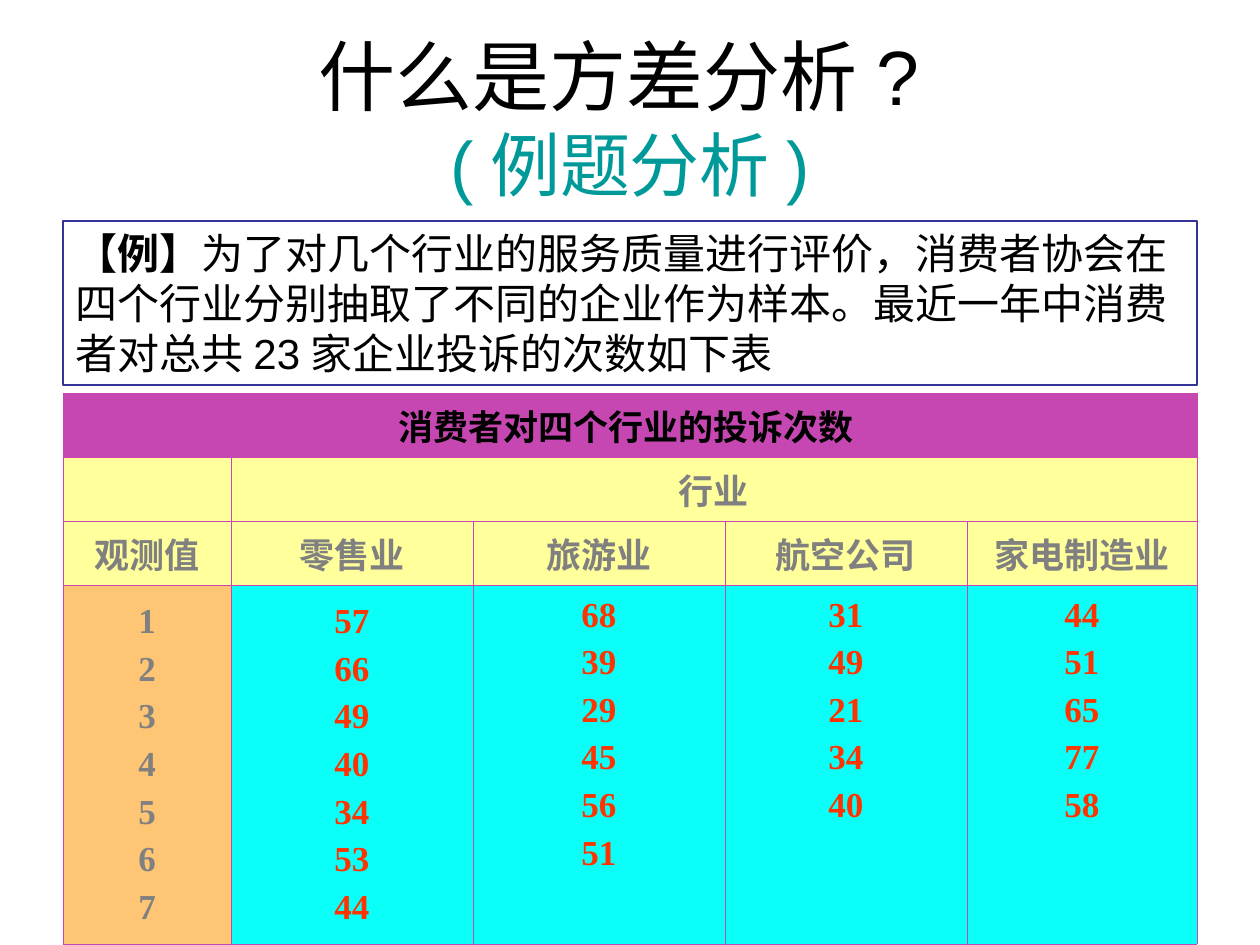
import pptx
import pptx.util
import pptx.dml.color
import pptx.enum.text
import pptx.enum.shapes
import pptx.oxml
import pptx.oxml.ns
from dataclasses import dataclass

PX = 914400 / 126
ALIGN = pptx.enum.text.PP_ALIGN
ANCHOR = pptx.enum.text.MSO_ANCHOR


@dataclass(frozen=True)
class Theme:
    sans: str = "Arial"
    serif: str = "Times New Roman"
    ink: str = "000000"
    teal: str = "009999"
    navy: str = "333399"
    grey: str = "808080"
    red: str = "FF3300"
    pink: str = "C747B2"
    grid: str = "C945B3"
    cream: str = "FFFF9B"
    peach: str = "FEC674"
    cyan: str = "0BFFF9"
    title: int = 44
    sub: int = 40
    body: int = 24
    cell: int = 20
    gap: int = 5


def emu(px):
    return round(px * PX)


def rgb(code):
    return pptx.dml.color.RGBColor.from_string(code)


def write(para, text, font, size, color, bold=False):
    run = para.add_run()
    run.text = text
    run.font.name = font
    run.font.size = pptx.util.Pt(size)
    run.font.color.rgb = rgb(color)
    run.font.bold = bold


class Deck:
    def __init__(self, theme):
        self.theme = theme
        self.file = pptx.Presentation()
        self.file.slide_width = emu(1260)
        self.file.slide_height = emu(945)
        self.slide = self.file.slides.add_slide(self.file.slide_layouts[6])

    def title(self, area, main, sub):
        t = self.theme
        frame = self.slide.shapes.add_textbox(*map(emu, area)).text_frame
        frame.word_wrap = True
        frame.vertical_anchor = ANCHOR.MIDDLE
        para = frame.paragraphs[0]
        para.alignment = ALIGN.CENTER
        write(para, main, t.sans, t.title, t.ink)
        para.add_line_break()
        write(para, sub, t.sans, t.sub, t.teal)

    def box(self, area, runs):
        t = self.theme
        kind = pptx.enum.shapes.MSO_SHAPE.RECTANGLE
        shape = self.slide.shapes.add_shape(kind, *map(emu, area))
        shape.shadow.inherit = False
        shape.fill.background()
        shape.line.color.rgb = rgb(t.navy)
        shape.line.width = pptx.util.Pt(1)
        frame = shape.text_frame
        frame.word_wrap = True
        frame.auto_size = pptx.enum.text.MSO_AUTO_SIZE.SHAPE_TO_FIT_TEXT
        frame.vertical_anchor = ANCHOR.TOP
        para = frame.paragraphs[0]
        para.alignment = ALIGN.LEFT
        for text, font, bold in runs:
            write(para, text, font, t.body, t.ink, bold=bold)

    def table(self, left, top, cols, rows):
        area = map(emu, (left, top, sum(cols), sum(rows)))
        grid = self.slide.shapes.add_table(len(rows), len(cols), *area).table
        grid.first_row = grid.horz_banding = False
        for col, width in zip(grid.columns, cols):
            col.width = emu(width)
        for row, height in zip(grid.rows, rows):
            row.height = emu(height)
        return grid

    def cell(self, cell, fill, lines=(), color=None, font=None, top=None):
        t = self.theme
        cell.fill.solid()
        cell.fill.fore_color.rgb = rgb(fill)
        cell.vertical_anchor = ANCHOR.MIDDLE
        if top:
            cell.vertical_anchor = ANCHOR.TOP
            cell.margin_top = emu(top)
        self.edge(cell)
        frame = cell.text_frame
        for i, line in enumerate(lines):
            para = frame.add_paragraph() if i else frame.paragraphs[0]
            para.alignment = ALIGN.CENTER
            if i:
                para.space_before = pptx.util.Pt(t.gap)
            write(para, line, font or t.serif, t.cell, color or t.grey, bold=True)

    def edge(self, cell):
        props = cell._tc.get_or_add_tcPr()
        for i, side in enumerate("LRTB"):
            props.insert(i, pptx.oxml.parse_xml(
                f'<a:ln{side} {pptx.oxml.ns.nsdecls("a")} w="5715"><a:solidFill>'
                f'<a:srgbClr val="{self.theme.grid}"/></a:solidFill></a:ln{side}>'))


def main():
    t = Theme()
    deck = Deck(t)
    deck.title((63, 38, 1134, 158), "什么是方差分析? ", "(例题分析)")

    heads = ["观测值", "零售业", "旅游业", "航空公司", "家电制造业"]
    data = [
        range(1, 8),
        [57, 66, 49, 40, 34, 53, 44],
        [68, 39, 29, 45, 56, 51],
        [31, 49, 21, 34, 40],
        [44, 51, 65, 77, 58],
    ]
    grid = deck.table(63, 393, [168, 242, 252, 242, 230], [64, 64, 64, 337])
    for col, (head, counts) in enumerate(zip(heads, data)):
        title = ["消费者对四个行业的投诉次数 "] if col == 0 else []
        deck.cell(grid.cell(0, col), t.pink, title, color=t.ink)
        deck.cell(grid.cell(1, col), t.cream, ["行业"] if col == 1 else [])
        font = t.sans if head == "旅游业" else t.serif
        deck.cell(grid.cell(2, col), t.cream, [head], font=font)
        deck.cell(grid.cell(3, col), t.cyan if col else t.peach,
                  map(str, counts), color=t.red if col else t.grey,
                  top=11 if len(counts) < 7 else None)
    grid.cell(0, 0).merge(grid.cell(0, 4))
    grid.cell(1, 1).merge(grid.cell(1, 4))

    deck.box((63, 221, 1134, 164), [
        ("【例】", t.sans, True),
        ("为了对几个行业的服务质量进行评价，消费者协会在四个行业分别抽取了"
         "不同的企业作为样本。最近一年中消费者对总共", t.serif, False),
        ("23", t.sans, False),
        ("家企业投诉的次数如下表", t.serif, False),
    ])
    deck.file.save("out.pptx")


if __name__ == "__main__":
    main()
